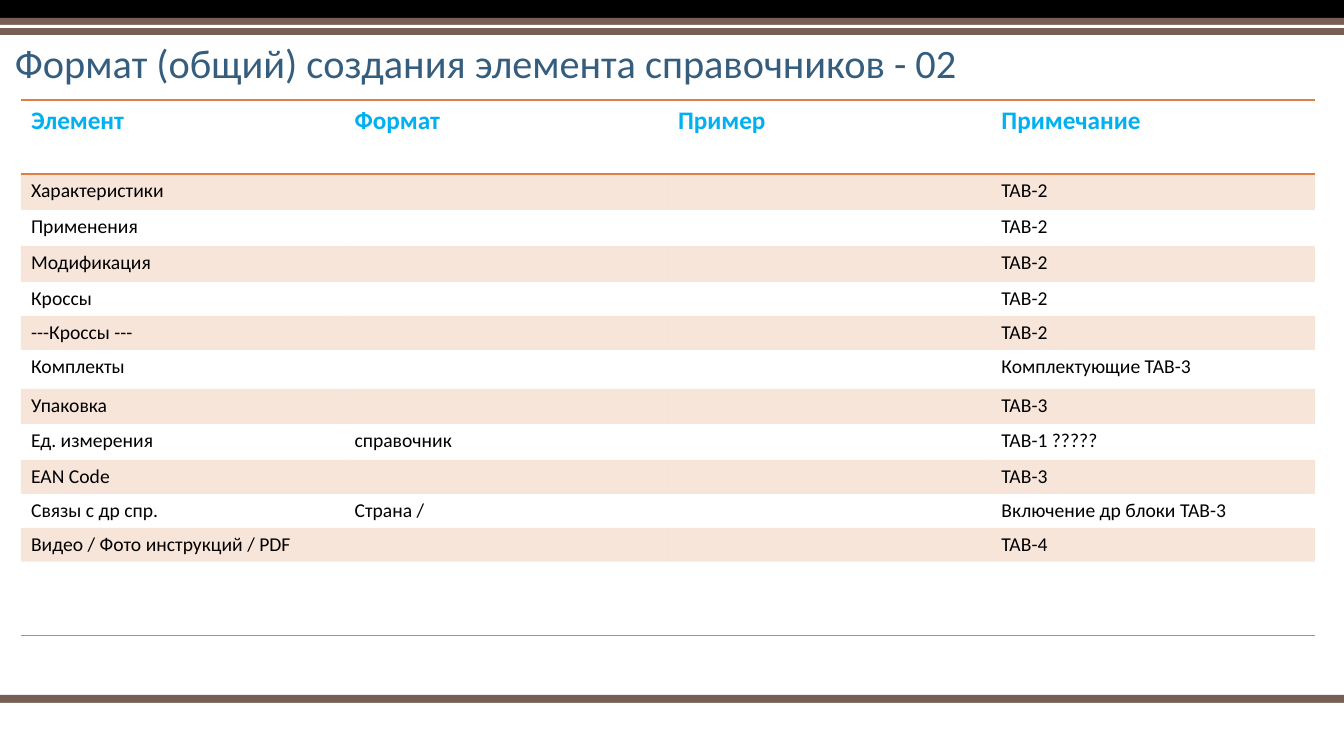
import pptx
import pptx.util
import pptx.dml.color
import pptx.enum.shapes
import pptx.enum.text
import pptx.oxml.ns
import lxml.etree

RGB = pptx.dml.color.RGBColor
BLACK = RGB(0x00, 0x00, 0x00)
WHITE = RGB(0xFF, 0xFF, 0xFF)
BROWN = RGB(0x77, 0x5F, 0x55)
NAVY = RGB(0x35, 0x5D, 0x7E)
CYAN = RGB(0x00, 0xB0, 0xF0)
AMBER = RGB(0xDD, 0x80, 0x47)

FACE = "Calibri"
PLAIN = "{2D5ABB26-0587-4C30-8999-92F81FD0307C}"
SCALE = 914400 / 100.8
WIDE, HIGH = 1344, 756

BARS = [
    (695, 12, BROWN),
    (703, 4, WHITE),
    (0, 18, BLACK),
    (18, 17, BROWN),
    (25, 3, WHITE),
]
HEAD = ["Элемент", "Формат", "Пример", "Примечание"]
ROWS = [
    (36, "Характеристики", "", "TAB-2"),
    (36, "Применения", "", "TAB-2"),
    (36, "Модификация", "", "TAB-2"),
    (34, "Кроссы", "", "TAB-2"),
    (34, "---Кроссы ---", "", "TAB-2"),
    (39, "Комплекты", "", "Комплектующие TAB-3"),
    (35, "Упаковка", "", "TAB-3"),
    (36, "Ед. измерения", "справочник", "TAB-1 ?????"),
    (34, "EAN Code", "", "TAB-3"),
    (34, "Связы с др спр.", "Страна /", "Включение др блоки TAB-3"),
    (34, "Видео / Фото инструкций / PDF", "", "TAB-4"),
]
EDGE = 74


def px(num):
    return pptx.util.Emu(round(num * SCALE))


def node(parent, tag, **attrs):
    return lxml.etree.SubElement(parent, pptx.oxml.ns.qn(tag), **attrs)


def write(para, text, size, color, bold=False):
    run = para.add_run()
    run.text = text
    run.font.name = FACE
    run.font.size = pptx.util.Pt(size)
    run.font.bold = bold
    run.font.color.rgb = color


def add_bar(slide, top, tall, color):
    bar = slide.shapes.add_shape(
        pptx.enum.shapes.MSO_SHAPE.RECTANGLE, 0, px(top), px(WIDE), px(tall))
    bar.shadow.inherit = False
    bar.fill.solid()
    bar.fill.fore_color.rgb = color
    bar.line.fill.background()


def add_title(slide, text):
    box = slide.shapes.add_textbox(px(5), px(36), px(1170), px(56))
    frame = box.text_frame
    frame.word_wrap = True
    frame.vertical_anchor = pptx.enum.text.MSO_ANCHOR.BOTTOM
    para = frame.paragraphs[0]
    para.line_spacing = 0.9
    write(para, text, 28.8, NAVY)


def rule(cell, tag):
    props = cell._tc.get_or_add_tcPr()
    line = node(props, tag, w="12700")
    node(node(line, "a:solidFill"), "a:srgbClr", val=str(AMBER))
    props.insert(0, line)


def tint(cell):
    cell.fill.solid()
    cell.fill.fore_color.rgb = AMBER
    for color in cell._tc.iter(pptx.oxml.ns.qn("a:srgbClr")):
        node(color, "a:alpha", val="20000")


def fill_cell(cell, text, head, band):
    if band:
        tint(cell)
    else:
        cell.fill.background()
    para = cell.text_frame.paragraphs[0]
    if not text:
        node(para._p, "a:endParaRPr", sz="1400")
    elif head:
        write(para, text, 18, CYAN, True)
    else:
        write(para, text, 14, BLACK)


def add_grid(slide):
    rows = [(EDGE, *HEAD)]
    rows += [(tall, name, form, "", note) for tall, name, form, note in ROWS]
    rows += [(EDGE, "", "", "", "")]
    total = sum(row[0] for row in rows)
    frame = slide.shapes.add_table(
        len(rows), len(HEAD), px(21), px(100), px(1294), px(total))
    grid = frame.table
    grid.first_row = True
    grid.horz_banding = False
    for mark in frame.element.iter(pptx.oxml.ns.qn("a:tableStyleId")):
        mark.text = PLAIN
    last = len(rows) - 1
    for r, (tall, *texts) in enumerate(rows):
        grid.rows[r].height = px(tall)
        for c, text in enumerate(texts):
            cell = grid.cell(r, c)
            fill_cell(cell, text, r == 0, r % 2 == 1)
            if r in (0, last):
                rule(cell, "a:lnB")
            if r == 0:
                rule(cell, "a:lnT")


def main():
    deck = pptx.Presentation()
    deck.slide_width = px(WIDE)
    deck.slide_height = px(HIGH)
    slide = deck.slides.add_slide(deck.slide_layouts[6])
    for bar in BARS:
        add_bar(slide, *bar)
    add_title(slide, "Формат (общий) создания элемента справочников - 02")
    add_grid(slide)
    deck.save("out.pptx")


if __name__ == "__main__":
    main()
